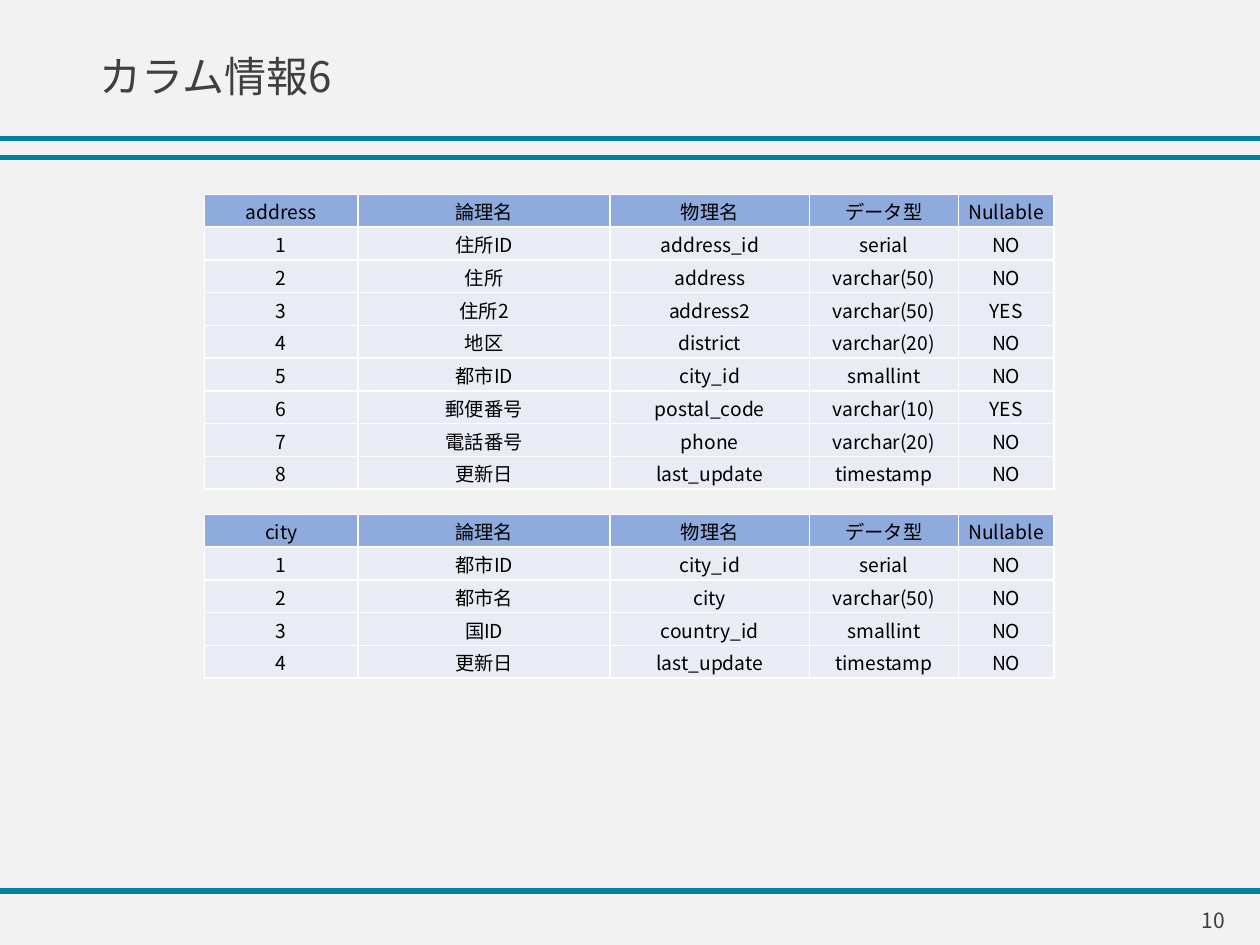
from dataclasses import dataclass

from lxml import etree
from pptx import Presentation
from pptx.dml.color import RGBColor
from pptx.enum.shapes import MSO_CONNECTOR
from pptx.enum.text import MSO_ANCHOR, MSO_AUTO_SIZE, PP_ALIGN
from pptx.oxml.ns import qn
from pptx.slide import Slide
from pptx.table import _Cell
from pptx.text.text import TextFrame
from pptx.util import Cm, Pt

STRAIGHT = MSO_CONNECTOR.STRAIGHT
MIDDLE = MSO_ANCHOR.MIDDLE
NO_AUTOFIT = MSO_AUTO_SIZE.NONE
LEFT, CENTER, RIGHT = PP_ALIGN.LEFT, PP_ALIGN.CENTER, PP_ALIGN.RIGHT

FONT = "Noto Sans CJK JP"
BACKGROUND, RULE, INK = "F2F2F2", "0080A3", "404040"
HEADER_FILL, BODY_FILL, BORDER, CELL_INK = "8FAADC", "E9EBF5", "FFFFFF", "000000"

PAGE_WIDTH, PAGE_HEIGHT = 25.4, 19.05
RULE_TOPS = (2.79, 3.18, 17.96)
TABLE_LEFT = 4.12
COLUMN_WIDTHS = (3.1, 5.08, 4.02, 3.0, 1.93)
ROW_HEIGHT = 0.66
COLUMN_HEADINGS = ("論理名", "物理名", "データ型", "Nullable")


@dataclass(frozen=True)
class Column:
    logical_name: str
    physical_name: str
    data_type: str
    nullable: str = "NO"


@dataclass(frozen=True)
class Entity:
    name: str
    top: float
    columns: tuple[Column, ...]


ENTITIES = (
    Entity("address", 3.92, (
        Column("住所ID", "address_id", "serial"),
        Column("住所", "address", "varchar(50)"),
        Column("住所2", "address2", "varchar(50)", "YES"),
        Column("地区", "district", "varchar(20)"),
        Column("都市ID", "city_id", "smallint"),
        Column("郵便番号", "postal_code", "varchar(10)", "YES"),
        Column("電話番号", "phone", "varchar(20)"),
        Column("更新日", "last_update", "timestamp"),
    )),
    Entity("city", 10.37, (
        Column("都市ID", "city_id", "serial"),
        Column("都市名", "city", "varchar(50)"),
        Column("国ID", "country_id", "smallint"),
        Column("更新日", "last_update", "timestamp"),
    )),
)


def color(value: str) -> RGBColor:
    return RGBColor.from_string(value)


def write(frame: TextFrame, text: str, size: float, ink: str, align: PP_ALIGN) -> None:
    """Set the text and format it for Latin and East Asian letters alike."""
    frame.text = text
    frame.vertical_anchor = MIDDLE
    para = frame.paragraphs[0]
    para.alignment = align
    for span in para.runs:
        span.font.size = Pt(size)
        span.font.name = FONT
        span.font.color.rgb = color(ink)
        east_asian = etree.Element(qn("a:ea"), typeface=FONT)
        span.font._element.find(qn("a:latin")).addnext(east_asian)


def add_rule(slide: Slide, top: float) -> None:
    line = slide.shapes.add_connector(STRAIGHT, 0, Cm(top), Cm(PAGE_WIDTH), Cm(top))
    line.line.color.rgb = color(RULE)
    line.line.width = Pt(3)
    etree.SubElement(line._element.spPr, qn("a:effectLst"))


def add_borders(cell: _Cell) -> None:
    properties = cell._tc.get_or_add_tcPr()
    for side in ("lnL", "lnR", "lnT", "lnB"):
        border = etree.SubElement(properties, qn(f"a:{side}"), w=str(Pt(1)))
        fill = etree.SubElement(border, qn("a:solidFill"))
        etree.SubElement(fill, qn("a:srgbClr"), val=BORDER)


def fill_cell(cell: _Cell, text: str, fill: str) -> None:
    write(cell.text_frame, text, 11, CELL_INK, CENTER)
    cell.vertical_anchor = MIDDLE
    cell.margin_left = cell.margin_right = cell.margin_top = Cm(0.02)
    cell.margin_bottom = 0
    add_borders(cell)
    cell.fill.solid()
    cell.fill.fore_color.rgb = color(fill)


def add_entity(slide: Slide, entity: Entity) -> None:
    rows = [(entity.name, *COLUMN_HEADINGS)]
    for number, column in enumerate(entity.columns, start=1):
        rows.append((str(number), column.logical_name, column.physical_name,
                     column.data_type, column.nullable))
    table = slide.shapes.add_table(
        len(rows), len(COLUMN_WIDTHS), Cm(TABLE_LEFT), Cm(entity.top),
        Cm(sum(COLUMN_WIDTHS)), Cm(ROW_HEIGHT * len(rows))).table
    table.horz_banding = False
    for table_column, width in zip(table.columns, COLUMN_WIDTHS):
        table_column.width = Cm(width)
    for row_index, values in enumerate(rows):
        table.rows[row_index].height = Cm(ROW_HEIGHT)
        for column_index, value in enumerate(values):
            fill_cell(table.cell(row_index, column_index), value,
                      BODY_FILL if row_index else HEADER_FILL)


def add_title(slide: Slide, text: str) -> None:
    title = slide.shapes.title
    title.left, title.top, title.width, title.height = Cm(1.75), Cm(0.38), Cm(16.54), Cm(2.41)
    write(title.text_frame, text, 24, INK, LEFT)
    title.text_frame.auto_size = NO_AUTOFIT
    title.text_frame.paragraphs[0].line_spacing = 0.9


def add_page_number(slide: Slide, number: str) -> None:
    box = slide.shapes.add_textbox(Cm(19.23), Cm(18.03), Cm(5.71), Cm(1.02))
    box.text_frame.word_wrap = True
    write(box.text_frame, number, 12, INK, RIGHT)


def main() -> None:
    deck = Presentation()
    deck.slide_width, deck.slide_height = Cm(PAGE_WIDTH), Cm(PAGE_HEIGHT)
    page = deck.slides.add_slide(deck.slide_layouts.get_by_name("Title Only"))
    page.background.fill.solid()
    page.background.fill.fore_color.rgb = color(BACKGROUND)
    for top in RULE_TOPS:
        add_rule(page, top)
    add_title(page, "カラム情報6")
    for entity in ENTITIES:
        add_entity(page, entity)
    add_page_number(page, "10")
    deck.save("out.pptx")


if __name__ == "__main__":
    main()
